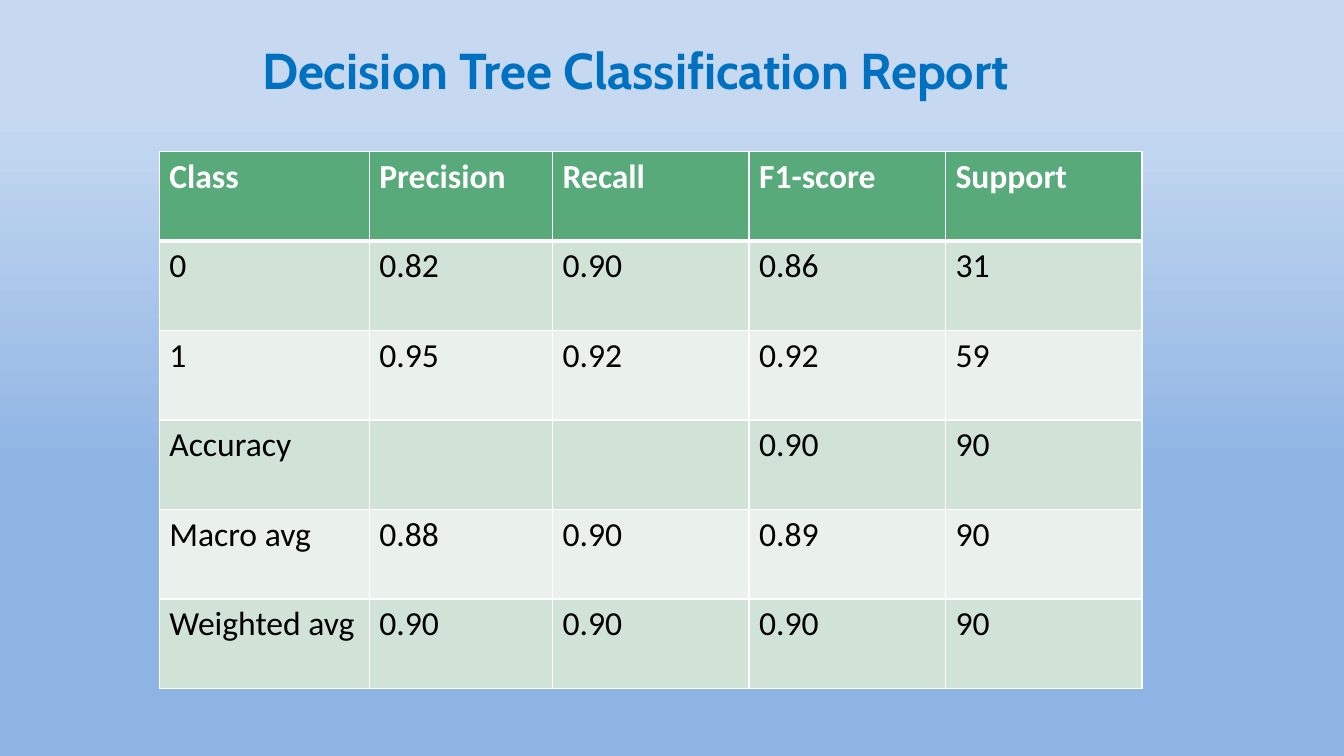
from lxml import etree
from pptx import Presentation
from pptx import util as u
from pptx.dml.color import RGBColor
from pptx.enum import text
from pptx.oxml import ns

WHITE = RGBColor(0xFF, 0xFF, 0xFF)
BLACK = RGBColor(0, 0, 0)
BLUE = RGBColor(0x00, 0x70, 0xC0)
SKY_TOP = RGBColor(0xC6, 0xD9, 0xF1)
SKY_BOTTOM = RGBColor(0x8E, 0xB4, 0xE3)
HEADER_GREEN = RGBColor(0x59, 0xAA, 0x7A)
BAND_DARK = RGBColor(0xD1, 0xE2, 0xD7)
BAND_LIGHT = RGBColor(0xEA, 0xF1, 0xEC)

REPORT = [
    ["Class", "Precision", "Recall", "F1-score", "Support"],
    ["0", "0.82", "0.90", "0.86", "31"],
    ["1", "0.95", "0.92", "0.92", "59"],
    ["Accuracy", "", "", "0.90", "90"],
    ["Macro avg", "0.88", "0.90", "0.89", "90"],
    ["Weighted avg", "0.90", "0.90", "0.90", "90"],
]
COLUMN_WIDTHS = [150, 131, 140.33, 140.33, 140.33]
ROW_HEIGHT = 64


class ReportSlide:
    title_font = "Cabin"
    body_font = "Calibri"

    def __init__(self, deck):
        self.slide = deck.slides.add_slide(deck.slide_layouts[5])

    def background(self, stops):
        fill = self.slide.background.fill
        fill.gradient()
        fill.gradient_angle = 270
        for stop, (position, color) in zip(fill.gradient_stops, stops):
            stop.position = position
            stop.color.rgb = color

    def style(self, paragraph, name, size, color, bold):
        font = paragraph.font
        font.name, font.size, font.bold = name, u.Pt(size), bold
        font.color.rgb = color

    def title(self, words, left, top, width, height):
        heading = self.slide.shapes.title
        heading.left, heading.top = u.Pt(left), u.Pt(top)
        heading.width, heading.height = u.Pt(width), u.Pt(height)
        frame = heading.text_frame
        frame.text = words
        frame.word_wrap = True
        frame.auto_size = text.MSO_AUTO_SIZE.SHAPE_TO_FIT_TEXT
        frame.vertical_anchor = text.MSO_ANCHOR.TOP
        paragraph = frame.paragraphs[0]
        paragraph.alignment = text.PP_ALIGN.LEFT
        self.style(paragraph, self.title_font, 36, BLUE, True)

    def borders(self, cell, widths):
        properties = cell._tc.get_or_add_tcPr()
        for index, (side, width) in enumerate(widths.items()):
            line = etree.Element(ns.qn(f"a:ln{side}"), w=str(u.Pt(width)))
            solid = etree.SubElement(line, ns.qn("a:solidFill"))
            etree.SubElement(solid, ns.qn("a:srgbClr"), val=str(WHITE))
            properties.insert(index, line)

    def table(self, rows, left, top, widths, row_height):
        grid = self.slide.shapes.add_table(
            len(rows), len(widths), u.Pt(left), u.Pt(top),
            u.Pt(sum(widths)), u.Pt(row_height * len(rows))).table
        for column, width in zip(grid.columns, widths):
            column.width = u.Pt(width)
        for r, row in enumerate(rows):
            grid.rows[r].height = u.Pt(row_height)
            header = r == 0
            band = HEADER_GREEN if header else BAND_DARK if r % 2 else BAND_LIGHT
            edges = {"L": 1, "R": 1, "T": 3 if r == 1 else 1, "B": 3 if header else 1}
            for c, value in enumerate(row):
                cell = grid.cell(r, c)
                cell.text = value
                cell.fill.solid()
                cell.fill.fore_color.rgb = band
                self.borders(cell, edges)
                self.style(cell.text_frame.paragraphs[0], self.body_font, 24,
                           WHITE if header else BLACK, header)


def main():
    deck = Presentation()
    deck.slide_width, deck.slide_height = u.Pt(960), u.Pt(540)
    report = ReportSlide(deck)
    report.background([(0.14, SKY_TOP), (0.63, SKY_BOTTOM)])
    report.table(REPORT, 113.75, 108, COLUMN_WIDTHS, ROW_HEIGHT)
    report.title("Decision Tree Classification Report", 180, 24, 672, 51)
    deck.save("out.pptx")


if __name__ == "__main__":
    main()
